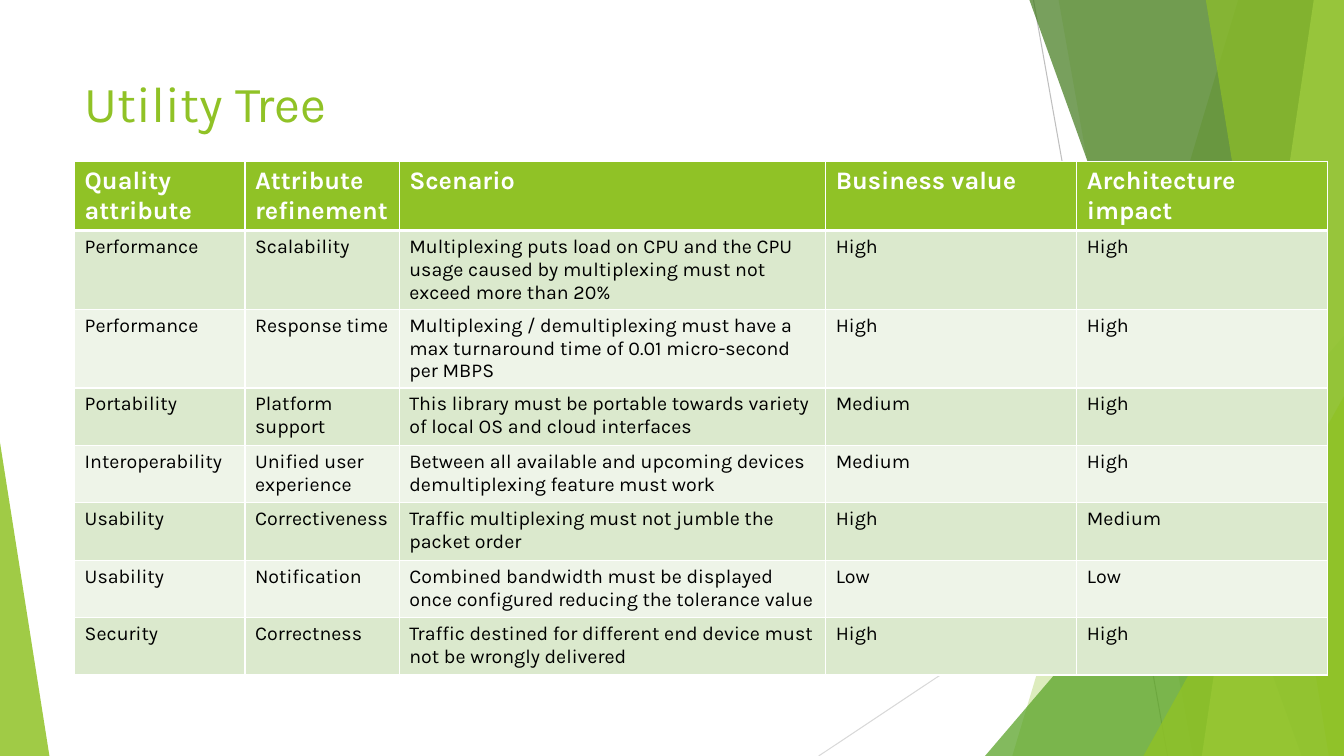
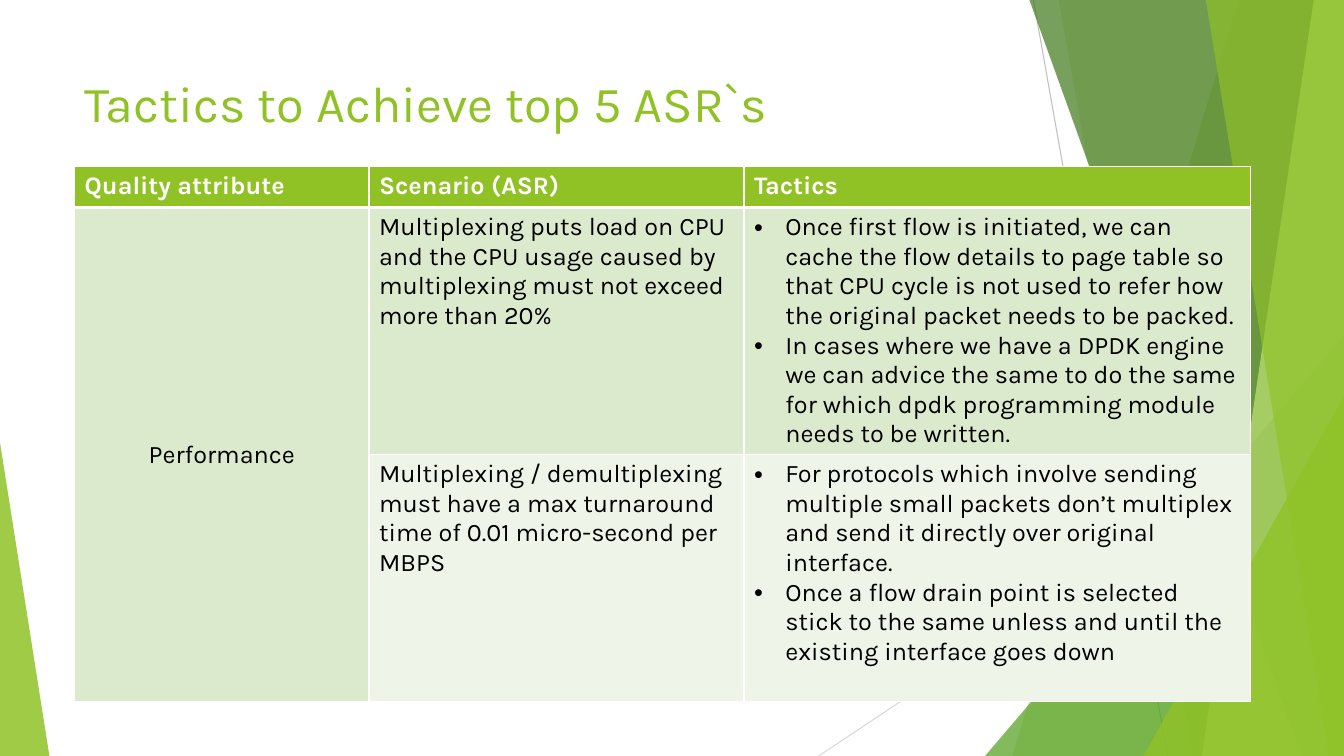
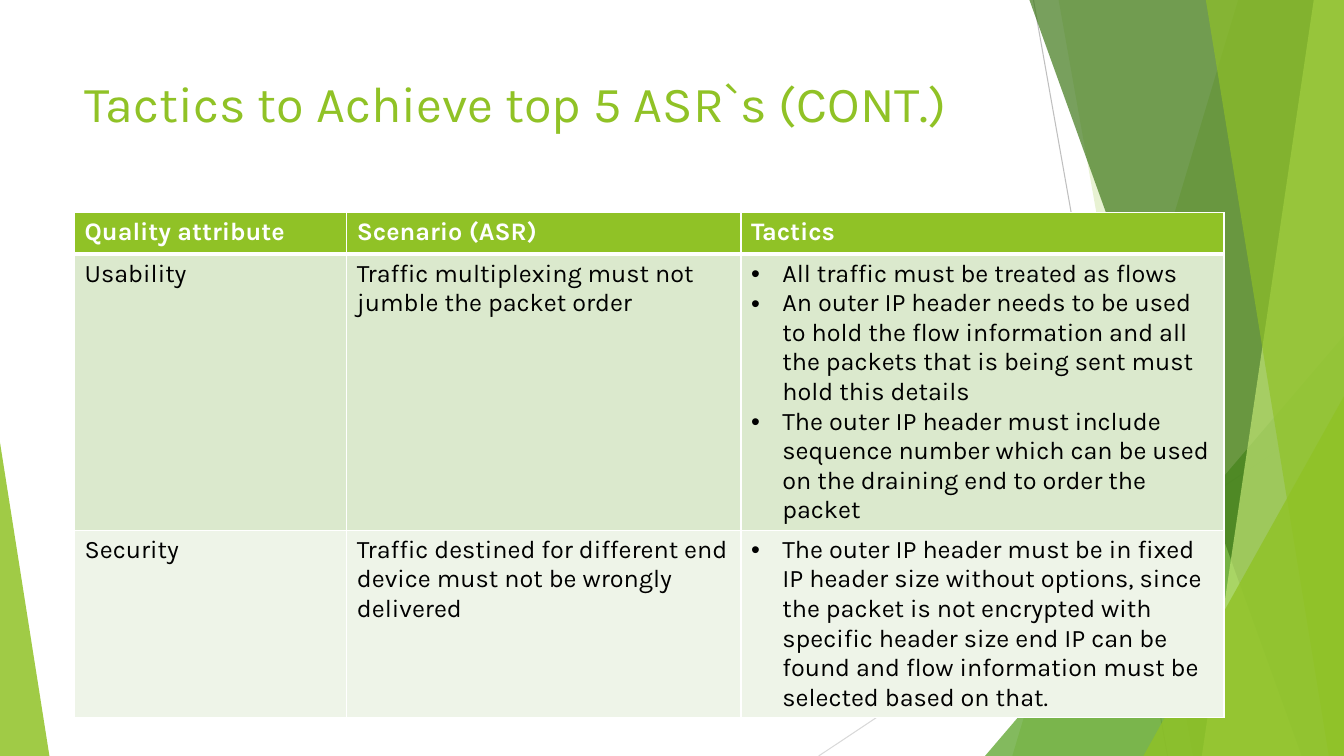
from dataclasses import dataclass

from lxml.etree import SubElement
from pptx import Presentation
from pptx.dml.color import RGBColor
from pptx.enum.shapes import MSO_CONNECTOR, MSO_SHAPE
from pptx.enum.text import MSO_ANCHOR, PP_ALIGN
from pptx.oxml.ns import qn
from pptx.util import Inches, Pt


@dataclass(frozen=True)
class Theme:
    font: str = "Karla"
    green: str = "90C226"
    leaf: str = "54A021"
    dark: str = "3F7819"
    lime: str = "C0E474"
    bands: tuple = ("DBE9CD", "EEF4E8")
    rules: tuple = ("BFBFBF", "D9D9D9")
    white: str = "FFFFFF"
    black: str = "000000"
    title: int = 36
    text: int = 18
    small: int = 14
    thin: int = 1
    thick: int = 3
    left: float = 0.74
    indent: float = 0.31


THEME = Theme()
WIDE, HIGH = 13.33, 7.5

# Scenarios named on more than one slide
LOAD = ("Multiplexing puts load on CPU and the CPU usage caused by "
        "multiplexing must not exceed more than 20%")
SPEED = ("Multiplexing / demultiplexing must have a max turnaround time "
         "of 0.01 micro-second per MBPS")
ORDER = "Traffic multiplexing must not jumble the packet order"
TARGET = ("Traffic destined for different end device must not be "
          "wrongly delivered")

# Table rows: a list is bulleted, None joins the cell above
TREE = [
    ("Quality attribute", "Attribute refinement", "Scenario",
     "Business value", "Architecture impact"),
    ("Performance", "Scalability", LOAD, "High", "High"),
    ("Performance", "Response time", SPEED, "High", "High"),
    ("Portability", "Platform support",
     "This library must be portable towards variety of local OS and cloud "
     "interfaces", "Medium", "High"),
    ("Interoperability", "Unified user experience",
     "Between all available and upcoming devices demultiplexing feature "
     "must work", "Medium", "High"),
    ("Usability", "Correctiveness", ORDER, "High", "Medium"),
    ("Usability", "Notification",
     "Combined bandwidth must be displayed once configured reducing the "
     "tolerance value", "Low", "Low"),
    ("Security", "Correctness", TARGET, "High", "High"),
]
HEAD = ("Quality attribute", "Scenario (ASR)", "Tactics")
TACTICS = [
    HEAD,
    ("Performance", LOAD, [
        "Once first flow is initiated, we can cache the flow details to page "
        "table so that CPU cycle is not used to refer how the original "
        "packet needs to be packed.",
        "In cases where we have a DPDK engine we can advice the same to do "
        "the same for which dpdk programming module needs to be written."]),
    (None, SPEED, [
        "For protocols which involve sending multiple small packets don’t "
        "multiplex and send it directly over original interface.",
        "Once a flow drain point is selected stick to the same unless and "
        "until the existing interface goes down"]),
]
MORE = [
    HEAD,
    ("Usability", ORDER, [
        "All traffic must be treated as flows",
        "An outer IP header needs to be used to hold the flow information "
        "and all the packets that is being sent must hold this details",
        "The outer IP header must include sequence number which can be used "
        "on the draining end to order the packet"]),
    ("Security", TARGET, [
        "The outer IP header must be in fixed IP header size without "
        "options, since the packet is not encrypted with specific header "
        "size end IP can be found and flow information must be selected "
        "based on that."]),
]


def rgb(code):
    return RGBColor.from_string(code)


def style(para, size, color, bold=False):
    font = para.font
    font.name, font.size, font.bold = THEME.font, Pt(size), bold
    font.color.rgb = rgb(color)


# Backdrop parts
def tint(shape, color, alpha):
    shape.shadow.inherit = False
    shape.line.fill.background()
    shape.fill.solid()
    shape.fill.fore_color.rgb = rgb(color)
    node = shape.element.spPr.find(".//" + qn("a:srgbClr"))
    SubElement(node, qn("a:alpha"), val=str(alpha * 1000))


def rule(shapes, ends, color):
    line = shapes.add_connector(MSO_CONNECTOR.STRAIGHT, *map(Inches, ends))
    line.line.color.rgb = rgb(color)
    line.line.width = Pt(0.75)
    SubElement(line.element.spPr, qn("a:effectLst"))


def band(shapes, top, foot, color, alpha):
    """Fill from a slanted left edge to the right side of the slide."""
    points = [(top, 0), (WIDE, 0), (WIDE, HIGH), (foot, HIGH)]
    points = [(Inches(x), Inches(y)) for x, y in points]
    pen = shapes.build_freeform(*points[0])
    pen.add_line_segments(points[1:], close=True)
    tint(pen.convert_to_shape(), color, alpha)


def wedge(shapes, left, top, width, peak, color, alpha):
    """Stand a triangle on the bottom edge of the slide."""
    shape = shapes.add_shape(
        MSO_SHAPE.ISOSCELES_TRIANGLE, Inches(left), Inches(top),
        Inches(width), Inches(HIGH - top))
    shape.adjustments[0] = peak
    tint(shape, color, alpha)


def backdrop(slide, layout):
    """Draw the backdrop once and move it into the layout."""
    group = slide.shapes.add_group_shape()
    parts = group.shapes
    rule(parts, (10.25, 0, 11.58, HIGH), THEME.rules[0])
    rule(parts, (WIDE, 4.03, 8.12, HIGH), THEME.rules[1])
    band(parts, 12.28, 10.04, THEME.green, 30)
    band(parts, 10.5, 11.83, THEME.green, 20)
    wedge(parts, 9.77, 3.33, 3.56, 1, THEME.leaf, 72)
    band(parts, 10.21, 12.91, THEME.dark, 70)
    band(parts, 13.03, 11.92, THEME.lime, 70)
    band(parts, 11.96, 13.18, THEME.green, 65)
    wedge(parts, 11.34, 3.93, 1.99, 1, THEME.green, 80)
    wedge(parts, 0, 4.39, 0.49, 0, THEME.green, 85)
    layout.shapes.element.insert(2, group.element)


def set_title(layout):
    title = layout.placeholders[0]
    title.left, title.top = Inches(THEME.left), Inches(0.67)
    title.width, title.height = Inches(9.4), Inches(1.44)
    title.text_frame.vertical_anchor = MSO_ANCHOR.TOP


# Table parts
def border(cell, row):
    above = THEME.thick if row == 1 else THEME.thin
    below = THEME.thick if row == 0 else THEME.thin
    props = cell._tc.get_or_add_tcPr()
    sides = {"L": THEME.thin, "R": THEME.thin, "T": above, "B": below}
    for side, width in sides.items():
        line = SubElement(props, qn("a:ln" + side), w=str(Pt(width)))
        fill = SubElement(line, qn("a:solidFill"))
        SubElement(fill, qn("a:srgbClr"), val=THEME.white)


def bullet(para):
    props = para._p.get_or_add_pPr()
    room = Inches(THEME.indent)
    props.set("marL", str(room))
    props.set("indent", str(-room))
    SubElement(props, qn("a:buFont"), typeface="Arial")
    SubElement(props, qn("a:buChar"), char="•")


def fill_cell(cell, item, row, size):
    border(cell, row)
    cell.fill.solid()
    shade = THEME.bands[(row - 1) % 2] if row else THEME.green
    cell.fill.fore_color.rgb = rgb(shade)
    if item is None:
        return
    listed = isinstance(item, list)
    frame = cell.text_frame
    frame.text = "\n".join(item) if listed else item
    for para in frame.paragraphs:
        if row:
            style(para, size, THEME.black)
        else:
            style(para, THEME.text, THEME.white, True)
        if listed:
            bullet(para)


def join(table, row, col):
    """Merge a cell into the one above and centre the text."""
    cell = table.cell(row - 1, col)
    cell.merge(table.cell(row, col))
    cell.vertical_anchor = MSO_ANCHOR.MIDDLE
    cell.text_frame.paragraphs[0].alignment = PP_ALIGN.CENTER


def add_grid(slide, rows, top, widths, heights, size):
    frame = slide.shapes.add_table(
        len(rows), len(widths), Inches(THEME.left), Inches(top),
        Inches(sum(widths)), Inches(sum(heights)))
    table = frame.table
    table.horz_banding = False
    for col, width in zip(table.columns, widths):
        col.width = Inches(width)
    for line, height in zip(table.rows, heights):
        line.height = Inches(height)
    for r, items in enumerate(rows):
        for c, item in enumerate(items):
            fill_cell(table.cell(r, c), item, r, size)
            if item is None:
                join(table, r, c)


def add_page(deck, layout, title):
    slide = deck.slides.add_slide(layout)
    slide.shapes.title.text = title
    para = slide.shapes.title.text_frame.paragraphs[0]
    para.alignment = PP_ALIGN.LEFT
    style(para, THEME.title, THEME.green)
    return slide


def main():
    deck = Presentation()
    deck.slide_width, deck.slide_height = Inches(WIDE), Inches(HIGH)
    layout = deck.slide_layouts[5]
    set_title(layout)

    # Utility tree
    page = add_page(deck, layout, "Utility Tree")
    backdrop(page, layout)
    add_grid(page, TREE, 1.6, (1.69, 1.53, 4.23, 2.49, 2.49),
             [0.57] * len(TREE), THEME.small)

    # Tactics
    page = add_page(deck, layout, "Tactics to Achieve top 5 ASR`s")
    add_grid(page, TACTICS, 1.65, (2.92, 3.72, 5.02),
             (0.41, 2.45, 2.45), THEME.text)

    # Tactics, continued
    page = add_page(deck, layout, "Tactics to Achieve top 5 ASR`s (CONT.)")
    add_grid(page, MORE, 2.11, (2.7, 3.91, 4.79),
             (0.41, 2.74, 1.86), THEME.text)

    deck.save("out.pptx")


if __name__ == "__main__":
    main()
